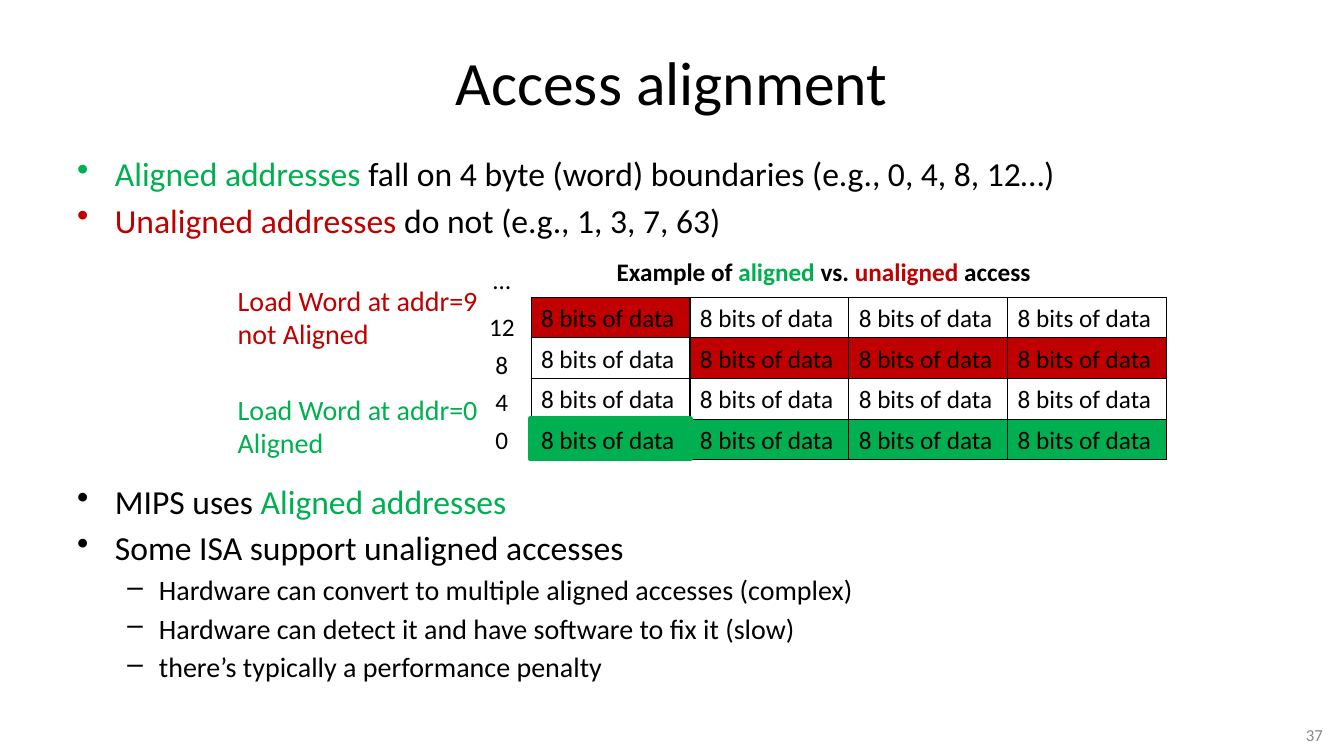
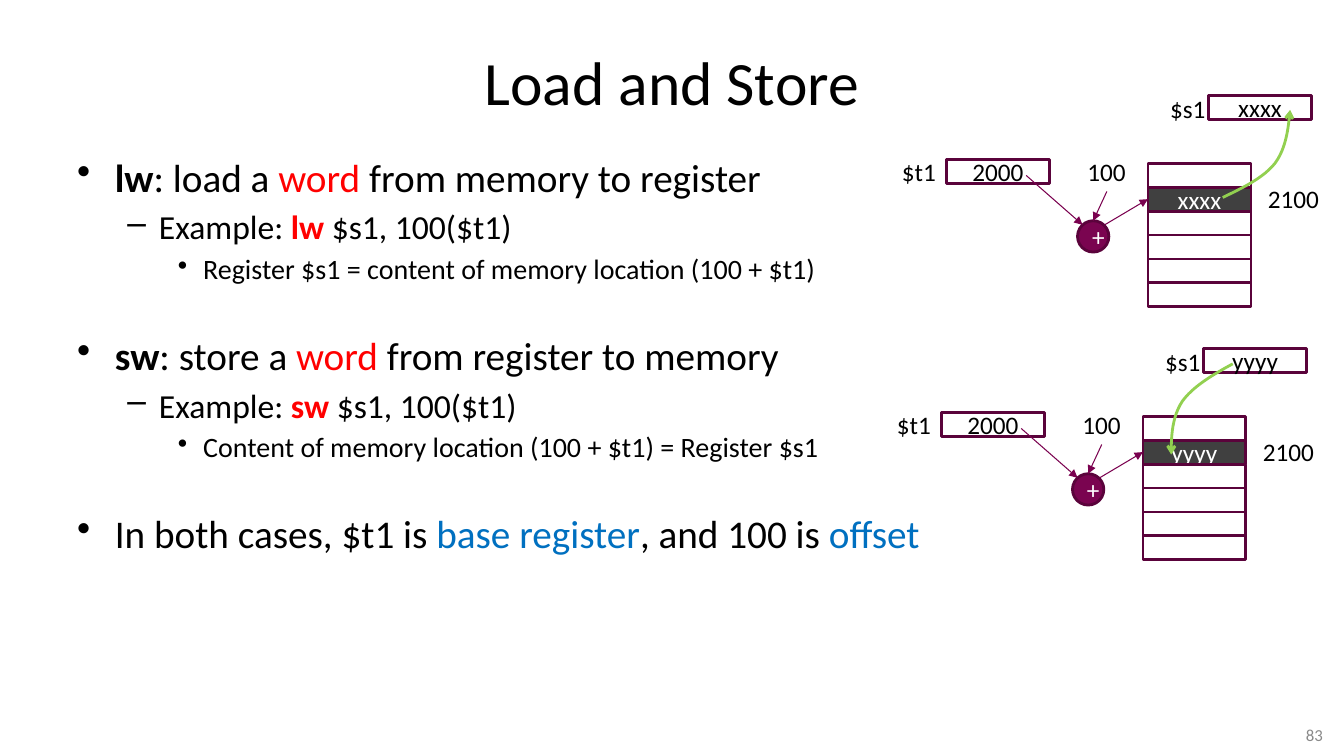
from lxml import etree
from pptx import Presentation
from pptx.dml.color import RGBColor
from pptx.enum.shapes import MSO_CONNECTOR, MSO_SHAPE
from pptx.enum.text import MSO_ANCHOR, PP_ALIGN
from pptx.oxml.ns import qn
from pptx.util import Pt

RECT, OVAL = MSO_SHAPE.RECTANGLE, MSO_SHAPE.OVAL
STRAIGHT = MSO_CONNECTOR.STRAIGHT
LEFT, CENTER, RIGHT = PP_ALIGN.LEFT, PP_ALIGN.CENTER, PP_ALIGN.RIGHT
TOP, MIDDLE = MSO_ANCHOR.TOP, MSO_ANCHOR.MIDDLE

FONT = "Calibri"
COLORS = {
    "black": "000000", "white": "FFFFFF", "gray": "898989", "dark": "404040",
    "green": "00B050", "crimson": "C00000", "red": "FF0000", "blue": "0070C0",
    "outline": "5A033B", "adder": "7A0450", "arrow": "7A014F", "curve": "92D050",
}
COLORS = {name: RGBColor.from_string(value) for name, value in COLORS.items()}

# Bullet, left margin and hanging indent of each outline level
LEVELS = [("•", 27, -27), ("–", 58.5, -22.5), ("•", 90, -18)]
SPACING = 0.18

# Body lines: level, extra space before, spans (text, colour, bold)
PAGES = [
    {
        "title": "Access alignment", "number": "37", "sizes": [24, 20],
        "body": [
            (0, 0, [("Aligned addresses", "green"),
                    (" fall on 4 byte (word) boundaries (e.g., 0, 4, 8, 12…)",)]),
            (0, 0, [("Unaligned addresses", "crimson"), (" do not (e.g., 1, 3, 7, 63)",)]),
            (0, 168, [("MIPS uses ",), ("Aligned addresses", "green")]),
            (0, 0, [("Some ISA support unaligned accesses",)]),
            (1, 0, [("Hardware can convert to multiple aligned accesses (complex)",)]),
            (1, 0, [("Hardware can detect it and have software to fix it (slow)",)]),
            (1, 0, [("there’s typically a performance penalty",)]),
        ],
    },
    {
        "title": "Load and Store", "number": "83", "sizes": [28, 24, 20],
        "body": [
            (0, 0, [("lw", "black", True), (": load a ",), ("word", "red"),
                    (" from memory to register",)]),
            (1, 0, [("Example: ",), ("lw", "red", True), (" $s1, 100($t1)",)]),
            (2, 0, [("Register $s1 = content of memory location (100 + $t1)",)]),
            (0, 28, [("sw", "black", True), (": store a ",), ("word", "red"),
                     (" from register to memory",)]),
            (1, 0, [("Example: ",), ("sw", "red", True), (" $s1, 100($t1)",)]),
            (2, 0, [("Content of memory location (100 + $t1) = Register $s1",)]),
            (0, 28, [("In both cases, $t1 is ",), ("base register", "blue"),
                     (", and 100 is ",), ("offset", "blue")]),
        ],
    },
]


def write(para, spans, size):
    """Add runs to a paragraph; a span is (text, colour, bold), the last two optional."""
    for text, *style in spans:
        color, bold = (style + ["black", False][len(style):])
        span = para.add_run()
        span.text = text
        span.font.name = FONT
        span.font.size = Pt(size)
        span.font.bold = bold
        span.font.color.rgb = COLORS[color]


def add_box(page, left, top, width, height, spans=(), size=18, align=LEFT, anchor=TOP,
            kind=None, fill=None, line=None, weight=0.75, wrap=True):
    """Add a preset shape, or a text box when no kind is given."""
    place = Pt(left), Pt(top), Pt(width), Pt(height)
    if kind is None:
        box = page.shapes.add_textbox(*place)
    else:
        box = page.shapes.add_shape(kind, *place)
        box.shadow.inherit = False
        if fill:
            box.fill.solid()
            box.fill.fore_color.rgb = COLORS[fill]
        else:
            box.fill.background()
        box.line.color.rgb = COLORS[line]
        box.line.width = Pt(weight)
    box.text_frame.word_wrap = wrap
    box.text_frame.vertical_anchor = anchor
    para = box.text_frame.paragraphs[0]
    para.alignment = align
    write(para, spans, size)
    return box


deck = Presentation()
deck.slide_width, deck.slide_height = Pt(960), Pt(540)

pages = []
for content in PAGES:
    page = deck.slides.add_slide(deck.slide_layouts[6])
    pages.append(page)
    add_box(page, 48, 21.6, 864, 72.7, [(content["title"],)], 44, CENTER, MIDDLE)
    body = add_box(page, 48, 105.8, 864, 396.7).text_frame
    for index, (level, gap, spans) in enumerate(content["body"]):
        para = body.add_paragraph() if index else body.paragraphs[0]
        bullet, margin, indent = LEVELS[level]
        size = content["sizes"][level]
        properties = para._p.get_or_add_pPr()
        properties.set("marL", str(Pt(margin)))
        properties.set("indent", str(Pt(indent)))
        etree.SubElement(properties, qn("a:buChar")).set("char", bullet)
        para.level = level
        if index:
            para.space_before = Pt(round(size * SPACING + gap, 1))
        write(para, spans, size)
    add_box(page, 849, 514, 103, 21, [(content["number"], "gray")], 12, RIGHT, MIDDLE)

alignment_page, load_store_page = pages

# Memory grid: one fill per byte, highest word first
word_fills = [
    ["crimson", None, None, None],
    [None, "crimson", "crimson", "crimson"],
    [None] * 4,
    ["green"] * 4,
]
grid_left, grid_top, byte_width, byte_height = 379.4, 212.4, 113.5, 29
for row, fills in enumerate(word_fills):
    for column, fill in enumerate(fills):
        add_box(alignment_page, grid_left + column * byte_width, grid_top + row * byte_height,
                byte_width, byte_height, [("8 bits of data",)],
                kind=RECT, fill=fill, line="black")
add_box(alignment_page, grid_left - 0.7, grid_top + 3 * byte_height - 0.5, 114.5, 29,
        kind=RECT, line="green", weight=3)

for row, address in enumerate(["12", "8", "4", "0"]):
    add_box(alignment_page, 340.5, 218.9 + row * 26.9, 36, 29, [(address,)], align=CENTER)
add_box(alignment_page, 340.5, 185, 36, 29, [("…",)], align=CENTER)
add_box(alignment_page, 433.4, 179.3, 363.6, 29, [
    ("Example of ", "black", True), ("aligned", "green", True), (" vs. ", "black", True),
    ("unaligned", "crimson", True), (" access", "black", True)])
for top, text, color in [(198.7, "Load Word at addr=9 not Aligned", "crimson"),
                         (276.5, "Load Word at addr=0 Aligned", "green")]:
    add_box(alignment_page, 162.7, top, 188.6, 55.4, [(text, color)], 20)

# Load and store diagrams: offset, word moved, Bézier points of the data path
diagrams = [
    (0, 0, "xxxx", [(873.4, 141.1), (888.5, 133.9), (902.9, 126.7), (910.8, 116.6),
                    (918.7, 105.8), (920.2, 92.2), (921.6, 78.5)]),
    (-3.6, 180.7, "yyyy", [(880.6, 259.9), (866.2, 267.8), (852.5, 275.8), (844.6, 286.6),
                           (837.4, 297.4), (836.6, 311), (836.6, 324.7)]),
]
cell_width, cell_height, memory_rows, target_row = 73.6, 17.1, 6, 1
for dx, dy, word, curve in diagrams:
    memory_cells = []
    for row in range(memory_rows):
        target = row == target_row
        memory_cells.append(add_box(
            load_store_page, 820 + dx, 116.6 + dy + row * cell_height, cell_width, cell_height,
            [(word, "white")] if target else [], align=CENTER, anchor=MIDDLE,
            kind=RECT, fill="dark" if target else None, line="outline", weight=2))
    for left, top, text in [(676, 113.8, "2000"), (863.3, 68.4, word)]:
        add_box(load_store_page, left + dx, top + dy, cell_width, cell_height, [(text,)],
                align=CENTER, anchor=MIDDLE, kind=RECT, line="outline", weight=2)
    adder = add_box(load_store_page, 769.7 + dx, 157.7 + dy, 22.4, 22.4, [("+", "white")],
                    align=CENTER, anchor=MIDDLE, kind=OVAL, fill="adder", line="outline",
                    weight=2)
    for left, top, width, text in [(637.2, 108, 38.9, "$t1"), (769.7, 108, 42.5, "100"),
                                   (898.6, 127.4, 51.1, "2100"), (828.7, 63.4, 40.3, "$s1")]:
        add_box(load_store_page, left + dx, top + dy, width, 29, [(text,)], wrap=False)

    arrows = []
    for x1, y1, x2, y2, end, site in [
            (733, 125.3, 773.3, 160.6, None, None),
            (790.6, 136.8, 780.9, 157.7, adder, 0),
            (789.1, 160.6, 820, 142.3, memory_cells[target_row], 1)]:
        arrow = load_store_page.shapes.add_connector(
            STRAIGHT, Pt(x1 + dx), Pt(y1 + dy), Pt(x2 + dx), Pt(y2 + dy))
        if end:
            arrow.end_connect(end, site)
        etree.SubElement(arrow.element.spPr, qn("a:effectLst"))
        arrows.append((arrow, "arrow", 0.75, "triangle"))

    points = [curve[0]]
    steps = 12
    for start in (0, 3):
        controls = curve[start:start + 4]
        for step in range(1, steps + 1):
            t = step / steps
            weights = [(1 - t) ** 3, 3 * t * (1 - t) ** 2, 3 * t ** 2 * (1 - t), t ** 3]
            points.append(tuple(sum(w * p[axis] for w, p in zip(weights, controls))
                                for axis in (0, 1)))
    points = [(Pt(x), Pt(y)) for x, y in points]
    builder = load_store_page.shapes.build_freeform(*points[0])
    builder.add_line_segments(points[1:], close=False)
    data_path = builder.convert_to_shape()
    data_path.fill.background()
    data_path.shadow.inherit = False
    arrows.append((data_path, "curve", 2, "arrow"))

    for arrow, color, weight, head in arrows:
        arrow.line.color.rgb = COLORS[color]
        arrow.line.width = Pt(weight)
        outline = arrow.element.spPr.find(qn("a:ln"))
        etree.SubElement(outline, qn("a:tailEnd")).set("type", head)

deck.save("out.pptx")
